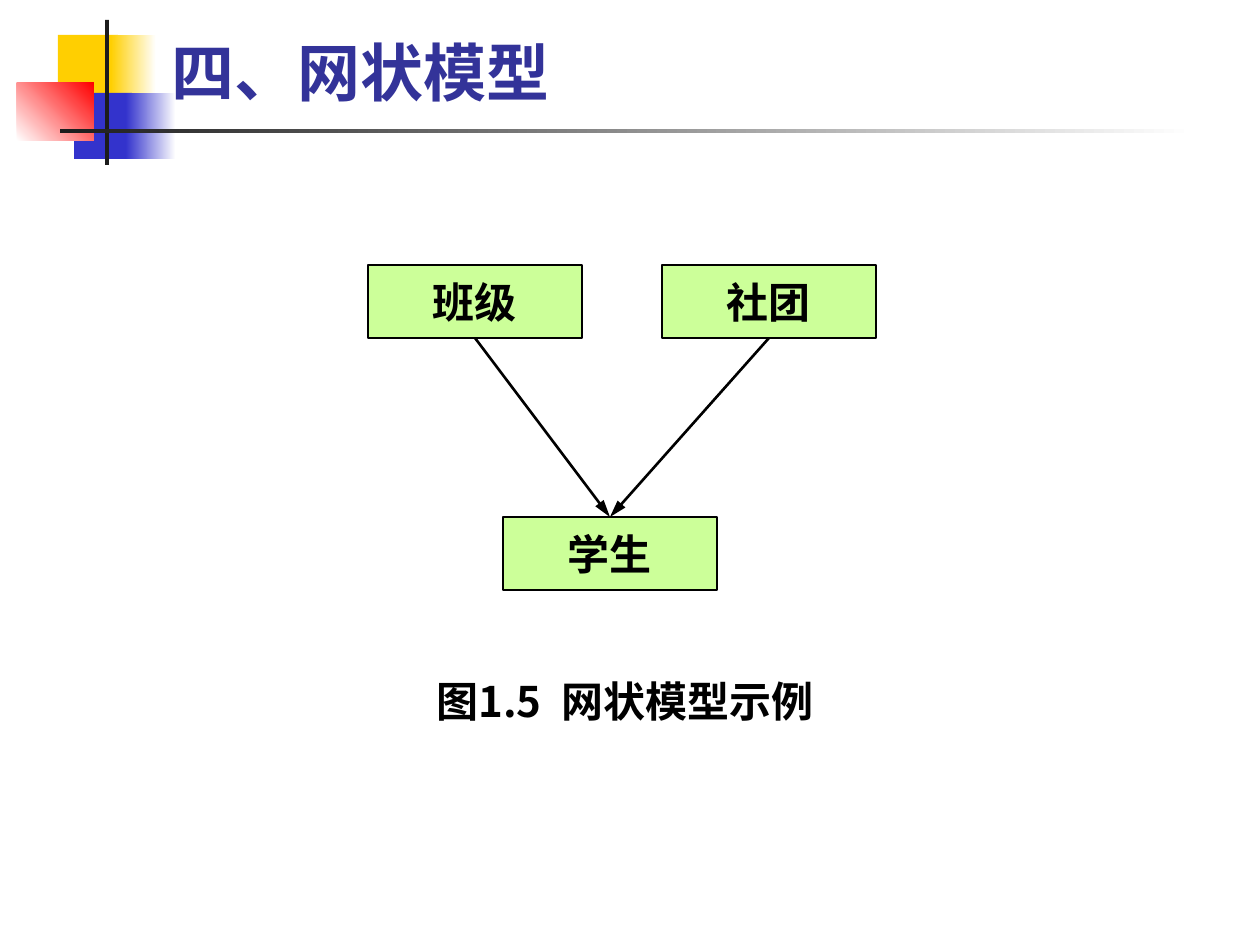
from dataclasses import dataclass
from lxml.etree import SubElement
from pptx import Presentation
from pptx.dml.color import RGBColor as RGB
from pptx.enum.shapes import MSO_CONNECTOR as CONN, MSO_SHAPE as SHAPE
from pptx.enum.text import MSO_ANCHOR as ANCHOR, PP_ALIGN as ALIGN
from pptx.oxml.ns import qn
from pptx.util import Emu, Pt

SCALE = 914400 / 126
TOP, BOTTOM = 0, 2


@dataclass(frozen=True)
class Theme:
    white: str = "FFFFFF"
    yellow: str = "FFCF01"
    blue: str = "3333CC"
    red: str = "FF0000"
    dark: str = "1C1C1C"
    title: str = "333399"
    node: str = "CCFF99"
    ink: str = "000000"
    title_font: str = "Lato"
    node_font: str = "Arial"
    cjk_font: str = "Noto Sans CJK SC"
    title_size: int = 36
    body_size: int = 24
    line: float = 1.5


T = Theme()


def px(n):
    return Emu(round(n * SCALE))


def rgb(color):
    return RGB.from_string(color)


def place(box, x, y, w, h):
    return [px(n) for n in (box[0] + x, box[1] + y, w, h)]


def add_rect(s, pos, color, end=None, angle=0):
    sp = s.shapes.add_shape(SHAPE.RECTANGLE, *pos)
    sp.shadow.inherit = False
    sp.line.fill.background()
    if end is None:
        sp.fill.solid()
        sp.fill.fore_color.rgb = rgb(color)
    else:
        sp.fill.gradient()
        sp.fill.gradient_angle = angle
        for stop, shade in zip(sp.fill.gradient_stops, (color, end)):
            stop.color.rgb = rgb(shade)
    return sp


def set_frame(sp, anchor, align, wrap, side, edge=6):
    tf = sp.text_frame
    tf.word_wrap = wrap
    tf.vertical_anchor = anchor
    tf.margin_left = tf.margin_right = px(side)
    tf.margin_top = tf.margin_bottom = px(edge)
    p = tf.paragraphs[0]
    p.alignment = align
    return p


def add_run(p, text, font, size, color, spacing=None):
    r = p.add_run()
    r.text = text
    r.font.name = font
    r.font.size = Pt(size)
    r.font.bold = True
    r.font.color.rgb = rgb(color)
    props = r.font._element
    SubElement(props, qn("a:ea")).set("typeface", T.cjk_font)
    if spacing:
        props.set("spc", str(spacing))


def add_ornament(s, box):
    for x, y, w, h, *fill in (
        (41, 15, 60, 66, T.yellow),
        (94, 15, 45, 66, T.yellow, T.white),
        (57, 73, 58, 66, T.blue),
        (109, 73, 50, 66, T.blue, T.white),
        (0, 63, 77, 58, T.white, T.red, 45),
        (88, 0, 4, 145, T.dark),
        (43, 109, 1134, 4, T.dark, T.white),
    ):
        add_rect(s, place(box, x, y, w, h), *fill)


def add_title(s, box):
    sp = s.shapes.add_textbox(*place(box, 0, 0, *box[2:]))
    p = set_frame(sp, ANCHOR.BOTTOM, ALIGN.LEFT, True, 13)
    add_run(p, "四、网状模型", T.title_font, T.title_size, T.title)


def add_node(s, pos, text):
    sp = add_rect(s, pos, T.node)
    sp.line.color.rgb = rgb(T.ink)
    sp.line.width = Pt(T.line)
    p = set_frame(sp, ANCHOR.MIDDLE, ALIGN.CENTER, False, 0)
    add_run(p, text, T.node_font, T.body_size, T.ink)
    return sp


def add_arrow(s, start, end):
    c = s.shapes.add_connector(CONN.STRAIGHT, 0, 0, 0, 0)
    c.begin_connect(start, BOTTOM)
    c.end_connect(end, TOP)
    c.line.color.rgb = rgb(T.ink)
    c.line.width = Pt(T.line)
    tail = SubElement(c.line._get_or_add_ln(), qn("a:tailEnd"))
    for key, value in (("type", "triangle"), ("w", "med"), ("len", "lg")):
        tail.set(key, value)
    SubElement(c._element.spPr, qn("a:effectLst"))


def add_network(s, box):
    w, h = 214, 73
    group, club, student = [
        add_node(s, place(box, x, y, w, h), text)
        for x, y, text in (
            (0, 0, "班级"),
            (box[2] - w, 0, "社团"),
            (135, box[3] - h, "学生"),
        )
    ]
    for owner in (group, club):
        add_arrow(s, owner, student)


def add_caption(s, box):
    sp = s.shapes.add_textbox(*place(box, 0, 0, *box[2:]))
    p = set_frame(sp, ANCHOR.MIDDLE, ALIGN.CENTER, True, 0)
    for text, spacing in (("图1.5", None), (" ", 600), ("网状模型示例", None)):
        add_run(p, text, T.cjk_font, T.body_size, T.ink, spacing)


def main():
    prs = Presentation()
    prs.slide_width, prs.slide_height = px(1260), px(945)
    s = prs.slides.add_slide(prs.slide_layouts[6])
    add_ornament(s, (17, 20, 1177, 145))
    add_network(s, (368, 265, 508, 325))
    add_caption(s, (343, 669, 564, 63))
    add_title(s, (159, 29, 1074, 86))
    prs.save("out.pptx")


if __name__ == "__main__":
    main()
